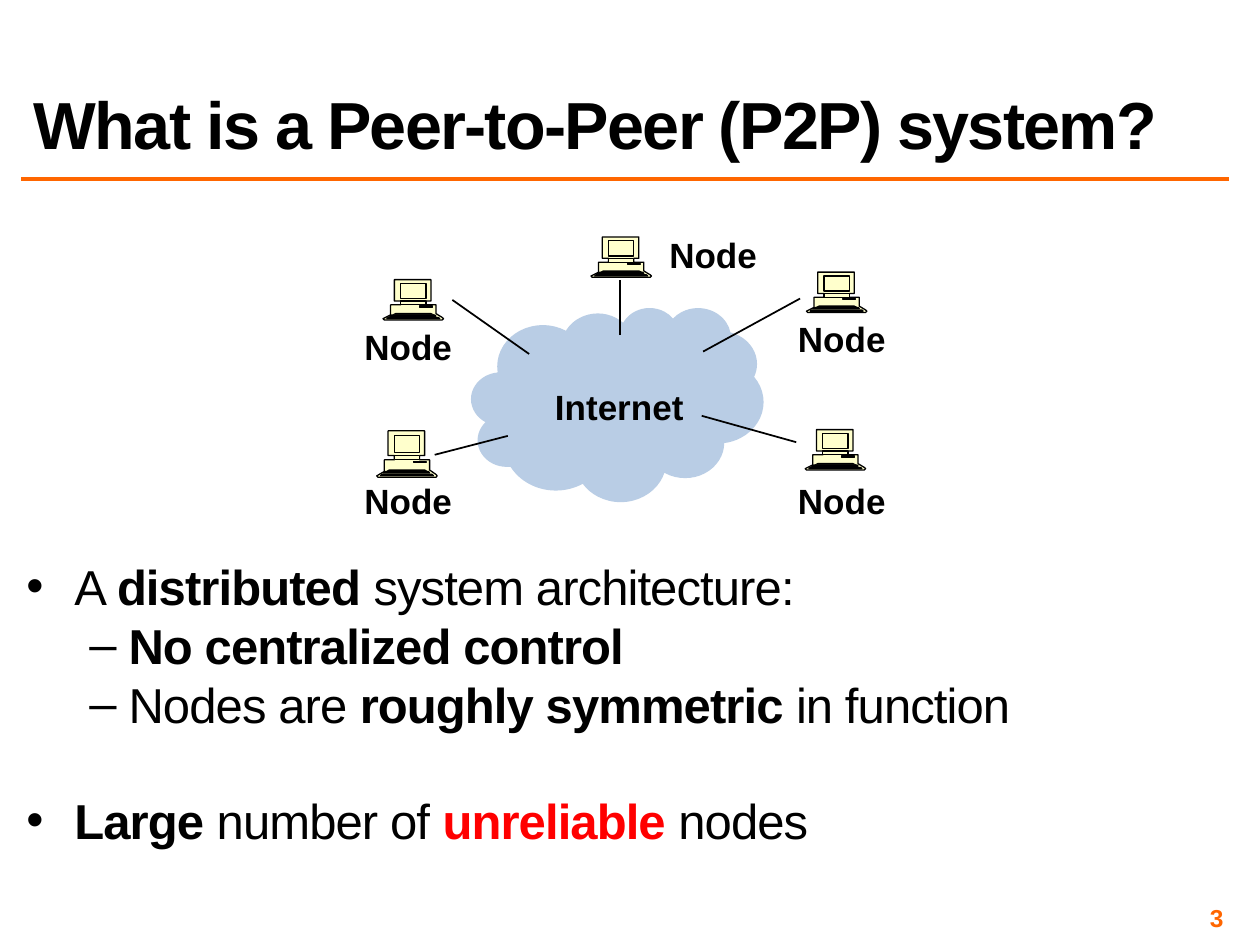
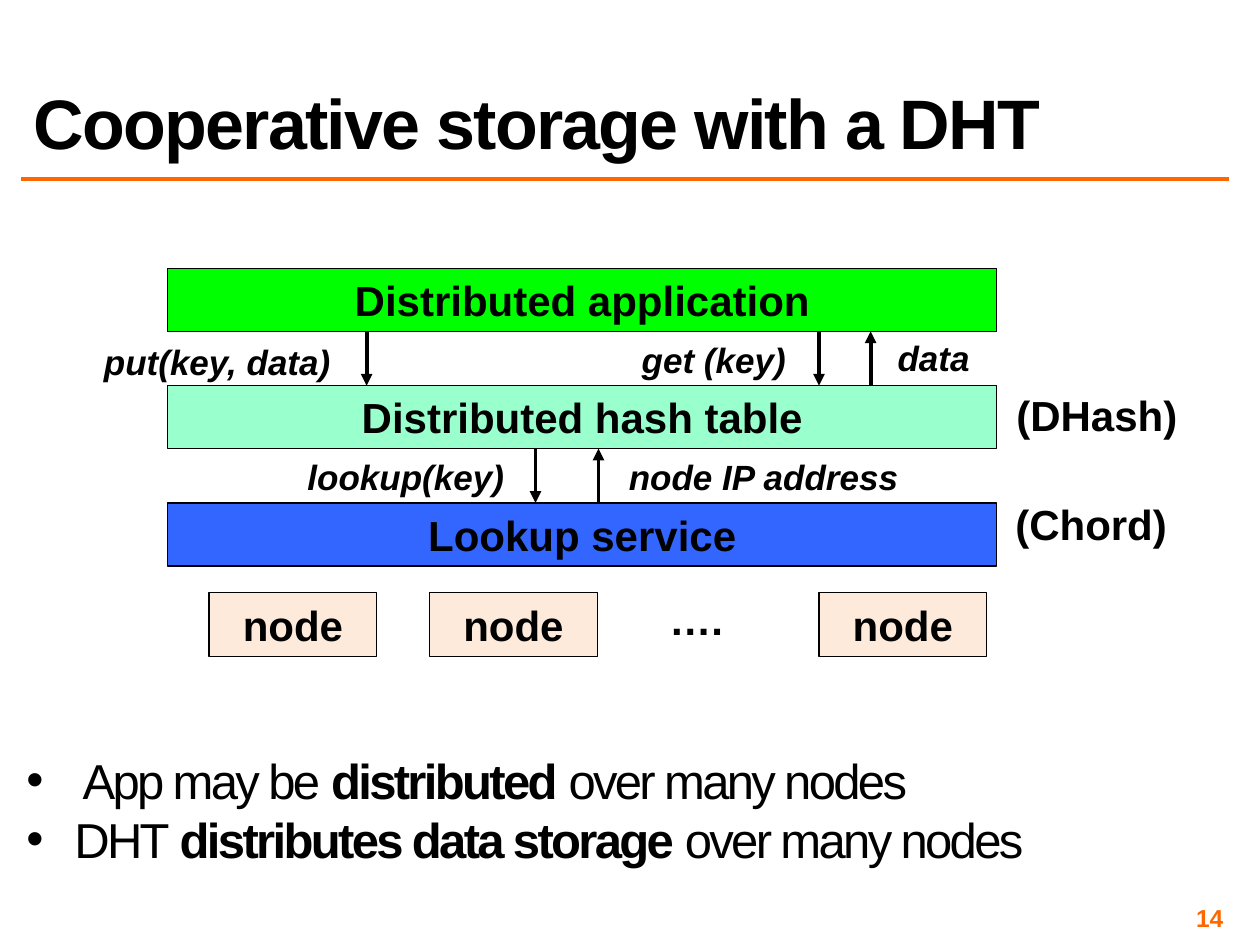
from lxml.etree import SubElement
from pptx import Presentation
from pptx.dml.color import RGBColor
from pptx.enum.shapes import MSO_CONNECTOR, MSO_SHAPE
from pptx.enum.text import MSO_ANCHOR, PP_ALIGN
from pptx.oxml.ns import qn
from pptx.util import Pt

FONT = "Arial"
COLORS = {
    "ink": "000000",
    "accent": "FF6600",
    "alert": "FF0000",
    "cloud": "B9CDE5",
    "computer": "FFFFCC",
    "application": "00FF00",
    "hash_table": "99FFCC",
    "lookup": "3366FF",
    "node": "FDEADA",
}
MARGIN_LEFT, CONTENT_WIDTH = 12.24, 689.76
BODY_SIZE = 28
PARAGRAPH_GAP = 6.7
# Bullet sign, left margin and hanging indent of each level
LEVELS = [("•", 27.36, 27.36), ("–", 58.32, 22.32)]

# Outlines of a desktop computer on a grid of 48 by 32
COMPUTER_PARTS = [
    [(47, 30), (42, 27), (42, 20), (34, 20), (34, 17), (38, 17), (38, 0), (9, 0),
     (9, 17), (14, 17), (14, 20), (6, 20), (6, 28), (2, 30), (0, 31), (1, 32),
     (47, 32), (48, 31)],
    [(40, 28), (38, 27), (10, 27), (8, 28)],
    [(42, 29), (41, 28), (7, 28), (5, 29)],
    [(45, 31), (44, 30), (4, 30), (3, 31)],
    [(29, 21), (29, 22), (39, 22), (39, 21)],
    [(14, 3), (14, 15), (34, 15), (34, 3)],
    [(14, 17), (34, 17), (34, 20), (14, 20)],
]


def rgb(name):
    return RGBColor.from_string(COLORS[name])


def add_run(paragraph, words, size, color="ink", bold=True, italic=False, spacing=0):
    run = paragraph.add_run()
    run.text = words
    font = run.font
    font.name, font.size, font.bold, font.italic = FONT, Pt(size), bold, italic
    font.color.rgb = rgb(color)
    if spacing:
        run._r.get_or_add_rPr().set("spc", str(round(spacing * 100)))


def add_frame(slide, left, top, width, height, inset=None, wrap=True, anchor=MSO_ANCHOR.TOP):
    box = slide.shapes.add_textbox(Pt(left), Pt(top), Pt(width), Pt(height))
    frame = box.text_frame
    frame.word_wrap = wrap
    frame.vertical_anchor = anchor
    if inset is not None:
        frame.margin_left = frame.margin_right = Pt(inset)
        frame.margin_top = frame.margin_bottom = Pt(inset)
    return frame


def add_line(slide, start, end, width=1, color="ink", arrow=False):
    line = slide.shapes.add_connector(
        MSO_CONNECTOR.STRAIGHT, *(Pt(value) for value in (*start, *end)))
    line.line.color.rgb = rgb(color)
    line.line.width = Pt(width)
    if arrow:
        SubElement(line.line._get_or_add_ln(), qn("a:tailEnd"), type="triangle")
    SubElement(line._element.spPr, qn("a:effectLst"))


def paint(shape, fill, outlined=True):
    shape.shadow.inherit = False
    shape.fill.solid()
    shape.fill.fore_color.rgb = rgb(fill)
    if outlined:
        shape.line.color.rgb = rgb("ink")
        shape.line.width = Pt(0.75)
    else:
        shape.line.fill.background()


def add_label(slide, words, left, top, width, size=20, italic=False):
    frame = add_frame(slide, left, top, width, size * 1.2 + 7.6, wrap=False)
    paragraph = frame.paragraphs[0]
    paragraph.alignment = PP_ALIGN.CENTER
    add_run(paragraph, words, size, italic=italic)


def add_block(slide, words, left, top, width, height, fill):
    block = slide.shapes.add_shape(
        MSO_SHAPE.RECTANGLE, Pt(left), Pt(top), Pt(width), Pt(height))
    paint(block, fill)
    block.text_frame.vertical_anchor = MSO_ANCHOR.MIDDLE
    paragraph = block.text_frame.paragraphs[0]
    paragraph.alignment = PP_ALIGN.CENTER
    add_run(paragraph, words, 24)


def add_computer(slide, left, top, row=0.72):
    """Draw a computer; row is the height of one grid row."""
    first, *details = COMPUTER_PARTS
    builder = slide.shapes.build_freeform(*first[0], scale=(Pt(0.72), Pt(row)))
    builder.add_line_segments(first[1:])
    for part in details:
        builder.move_to(*part[0])
        builder.add_line_segments(part[1:])
    computer = builder.convert_to_shape(Pt(left), Pt(top))
    separate_outlines(computer)
    paint(computer, "computer")


def separate_outlines(shape):
    """Give each outline its own path, so that inner parts do not become holes."""
    outlines = shape._element.spPr.find(".//" + qn("a:pathLst"))
    combined = outlines[0]
    for step in list(combined):
        if step.tag == qn("a:moveTo"):
            outline = SubElement(outlines, qn("a:path"), dict(combined.attrib))
        outline.append(step)
    outlines.remove(combined)


def add_bullet(frame, runs, level=0, spacing=0, gap=PARAGRAPH_GAP):
    """Add a bullet; each run is (words, bold) or (words, bold, color)."""
    is_first = not frame.paragraphs[0].runs
    paragraph = frame.paragraphs[0] if is_first else frame.add_paragraph()
    sign, margin, hanging = LEVELS[level]
    paragraph.level = level
    paragraph.line_spacing = 0.8
    if not is_first:
        paragraph.space_before = Pt(gap)
    properties = paragraph._p.get_or_add_pPr()
    properties.set("marL", str(Pt(margin)))
    properties.set("indent", str(-Pt(hanging)))
    SubElement(properties, qn("a:buFont"), typeface=FONT)
    SubElement(properties, qn("a:buChar"), char=sign)
    for words, bold, *color in runs:
        add_run(paragraph, words, BODY_SIZE, *(color or ["ink"]), bold=bold, spacing=spacing)


def add_body(slide, top, height):
    return add_frame(slide, MARGIN_LEFT, top, CONTENT_WIDTH, height, inset=2.88)


def start_slide(deck, title, title_size, number):
    slide = deck.slides.add_slide(deck.slide_layouts[6])
    add_line(slide, (MARGIN_LEFT, 102.24), (MARGIN_LEFT + CONTENT_WIDTH, 102.24), 2, "accent")

    heading = add_frame(slide, MARGIN_LEFT, 12.24, CONTENT_WIDTH, 84.24,
                        anchor=MSO_ANCHOR.BOTTOM).paragraphs[0]
    heading.line_spacing = 0.8
    add_run(heading, title, title_size, spacing=-1)

    footer = add_frame(slide, 534.24, 516.24, 167.76, 16.56, inset=2.88,
                       anchor=MSO_ANCHOR.MIDDLE).paragraphs[0]
    footer.alignment = PP_ALIGN.RIGHT
    add_run(footer, str(number), 14, "accent")
    return slide


def build_peer_to_peer(deck):
    slide = start_slide(deck, "What is a Peer-to-Peer (P2P) system?", 38, 3)
    cloud = slide.shapes.add_shape(
        MSO_SHAPE.CLOUD, Pt(269.3), Pt(175.7), Pt(167), Pt(110.9))
    paint(cloud, "cloud", outlined=False)

    # Computer position, label position, ends of the link to the cloud
    peers = [
        ((337.7, 135.4), (375.1, 129.6), (354.2, 191.5), (354.2, 159.8)),
        ((218.9, 159.8), (200.9, 182.2), (302.4, 202.3), (258.5, 171.4)),
        ((215.3, 246.2, 0.83), (200.9, 270.7), (248.4, 259.9), (290.2, 249.1)),
        ((460.1, 245.5), (448.6, 270.7), (455, 252.7), (401, 237.6)),
        ((460.8, 155.5), (448.6, 177.8), (401.8, 200.9), (457.2, 170.6)),
    ]
    for computer, label, link_start, link_end in peers:
        add_computer(slide, *computer)
        add_line(slide, link_start, link_end)
        add_label(slide, "Node", *label, 64.8)
    add_label(slide, "Internet", 309.6, 216.7, 88.6)

    body = add_body(slide, 321.84, 188.64)
    add_bullet(body, [("A ", False), ("distributed", True),
                      (" system architecture:", False)], spacing=-0.5)
    add_bullet(body, [("No centralized control", True)], level=1, spacing=-0.5)
    add_bullet(body, [("Nodes are ", False), ("roughly symmetric ", True),
                      ("in function", False)], level=1, spacing=-0.5)
    add_bullet(body, [("Large", True), (" number of ", False),
                      ("unreliable ", True, "alert"), ("nodes", False)],
               spacing=-0.5, gap=39.2)


def build_cooperative_storage(deck):
    slide = start_slide(deck, "Cooperative storage with a DHT", 40, 14)
    layer_top, layer_pitch, layer_height = 153.4, 67, 36
    layers = [("Distributed application", "application"),
              ("Distributed hash table", "hash_table"),
              ("Lookup service", "lookup")]
    for index, (words, fill) in enumerate(layers):
        add_block(slide, words, 95.8, layer_top + index * layer_pitch, 473.8, layer_height, fill)

    # Upper layer of the call, x of its arrow, whether it goes down
    calls = [(0, 209.5, True), (0, 468, True), (0, 497.5, False),
             (1, 306, True), (1, 342, False)]
    for upper, x, goes_down in calls:
        lower_edge = layer_top + (upper + 1) * layer_pitch
        ends = [(x, lower_edge - layer_pitch + layer_height), (x, lower_edge)]
        add_line(slide, *(ends if goes_down else ends[::-1]), width=2.25, arrow=True)

    for words, left, top, width in [
        ("put(key, data)", 51.8, 190.8, 144.7),
        ("get (key)", 359.3, 190.1, 97.2),
        ("data", 505.4, 188.6, 56.2),
        ("lookup(key)", 167.8, 257, 128.2),
        ("node IP address", 351.4, 257, 169.9),
    ]:
        add_label(slide, words, left, top, width, italic=True)
    add_label(slide, "(DHash)", 573.1, 218.9, 107.3, 24)
    add_label(slide, "(Chord)", 572.4, 281.5, 102.2, 24)

    for left in (119.5, 245.5, 468):
        add_block(slide, "node", left, 338.4, 95.8, 36.7, "node")
    add_label(slide, "….", 375.1, 335.5, 45.4, 24)

    body = add_body(slide, 432.72, 77.04)
    add_bullet(body, [(" App may be ", False), ("distributed", True),
                      (" over many nodes", False)], spacing=-1.5)
    add_bullet(body, [("DHT ", False), ("distributes data storage ", True),
                      ("over many nodes", False)], spacing=-1.5)


def main():
    deck = Presentation()
    deck.slide_width, deck.slide_height = Pt(720), Pt(540)
    build_peer_to_peer(deck)
    build_cooperative_storage(deck)
    deck.save("out.pptx")


if __name__ == "__main__":
    main()
